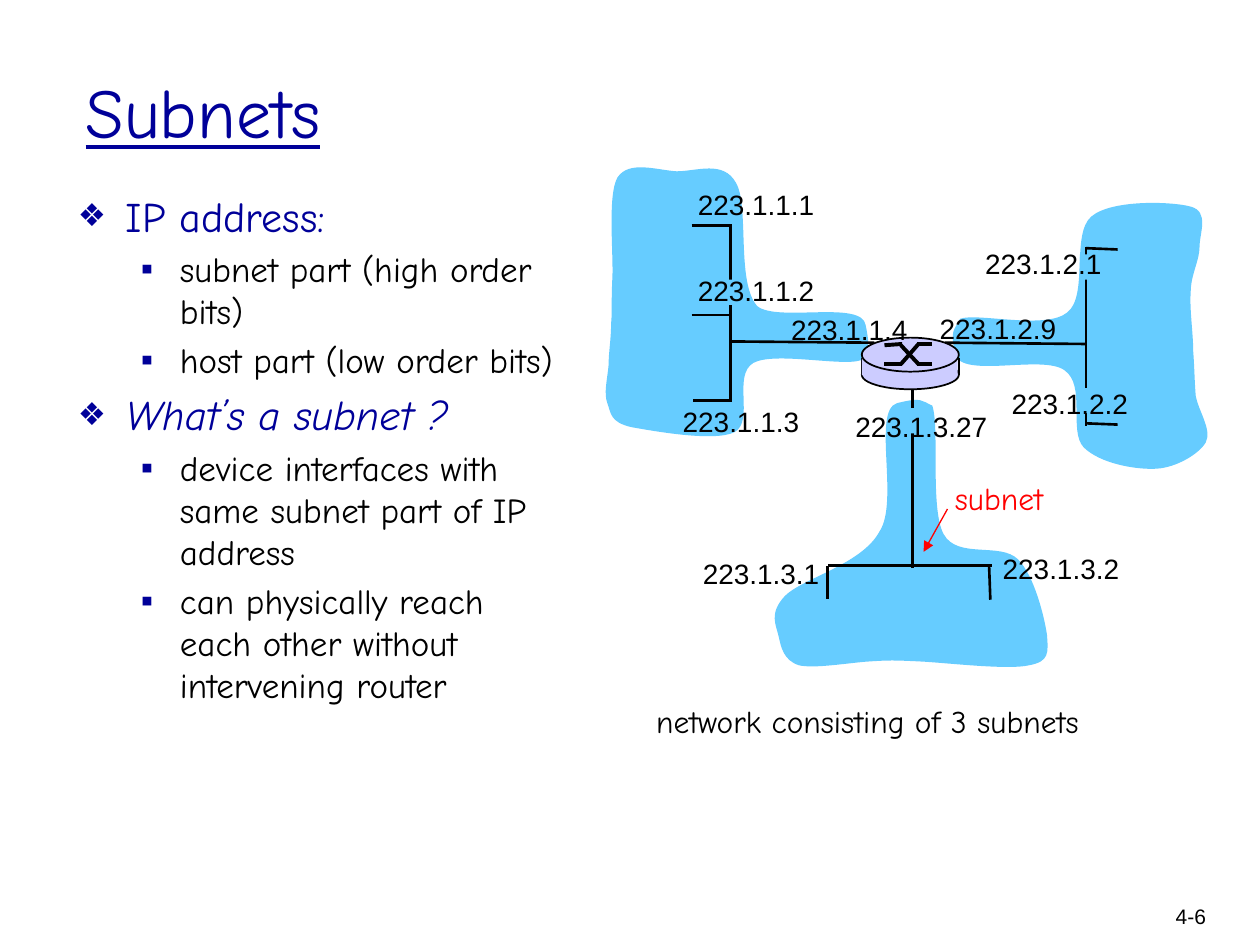
from lxml import etree
from pptx import Presentation
from pptx.dml.color import RGBColor
from pptx.enum.shapes import MSO_CONNECTOR, MSO_SHAPE
from pptx.enum.text import MSO_ANCHOR as ANCHOR, PP_ALIGN as ALIGN
from pptx.oxml.ns import qn
from pptx.util import Inches, Pt

COLORS = {"cloud": "66CCFF", "router": "CCCCFF", "navy": "000099",
          "black": "000000", "red": "FF0000", "white": "FFFFFF"}
HAND, SANS = "Comic Neue", "Arial"

# Each cloud: a start point, then Bezier segments (two controls and an end)
CLOUDS = [
    [(6.87, 2.58),
     (6.84, 2.38, 6.17, 2.56, 6.01, 2.43), (5.84, 2.24, 5.95, 1.63, 5.84, 1.45),
     (5.74, 1.27, 5.53, 1.36, 5.37, 1.36), (5.21, 1.35, 4.99, 1.27, 4.9, 1.41),
     (4.82, 1.55, 4.87, 2.02, 4.86, 2.21), (4.85, 2.41, 4.86, 2.46, 4.85, 2.57),
     (4.85, 2.69, 4.83, 2.8, 4.83, 2.9), (4.82, 3.01, 4.79, 3.12, 4.82, 3.2),
     (4.85, 3.28, 4.84, 3.35, 5.01, 3.39), (5.18, 3.42, 5.67, 3.51, 5.83, 3.43),
     (5.99, 3.34, 5.81, 2.98, 5.98, 2.88), (6.15, 2.79, 6.68, 2.91, 6.83, 2.86),
     (6.89, 2.77, 6.91, 2.78, 6.87, 2.58)],
    [(7.58, 2.81),
     (7.63, 3.01, 8.28, 2.81, 8.45, 2.94), (8.62, 3.06, 8.48, 3.42, 8.6, 3.55),
     (8.73, 3.68, 9.02, 3.73, 9.18, 3.72), (9.34, 3.71, 9.52, 3.6, 9.57, 3.51),
     (9.62, 3.41, 9.51, 3.26, 9.49, 3.14), (9.48, 3.02, 9.48, 2.92, 9.47, 2.79),
     (9.47, 2.65, 9.44, 2.45, 9.45, 2.32), (9.45, 2.18, 9.52, 2.07, 9.52, 1.96),
     (9.52, 1.85, 9.6, 1.68, 9.45, 1.64), (9.31, 1.6, 8.82, 1.58, 8.66, 1.72),
     (8.5, 1.86, 8.64, 2.35, 8.47, 2.48), (8.3, 2.62, 7.76, 2.48, 7.62, 2.53),
     (7.57, 2.63, 7.54, 2.61, 7.58, 2.81)],
    [(7.12, 3.2),
     (6.92, 3.26, 7.14, 3.98, 6.98, 4.22), (6.84, 4.48, 6.37, 4.59, 6.23, 4.73),
     (6.1, 4.87, 6.16, 4.96, 6.18, 5.05), (6.2, 5.14, 6.22, 5.24, 6.34, 5.28),
     (6.46, 5.31, 6.74, 5.26, 6.9, 5.25), (7.06, 5.24, 7.09, 5.24, 7.3, 5.25),
     (7.51, 5.26, 8, 5.32, 8.17, 5.28), (8.33, 5.25, 8.32, 5.18, 8.31, 5.04),
     (8.29, 4.9, 8.21, 4.57, 8.08, 4.44), (7.94, 4.3, 7.6, 4.44, 7.49, 4.24),
     (7.38, 4.04, 7.46, 3.4, 7.4, 3.22), (7.31, 3.18, 7.32, 3.15, 7.12, 3.2)],
]
LINKS = [
    (5.49, 1.79, 5.79, 1.79), (5.8, 1.78, 5.8, 3.19), (5.49, 2.5, 5.79, 2.5),
    (5.5, 3.18, 5.8, 3.18), (5.8, 2.71, 6.94, 2.72),
    (7.5, 2.72, 8.61, 2.73), (8.62, 1.96, 8.62, 3.38),
    (8.62, 1.97, 8.87, 1.98), (8.62, 3.36, 8.87, 3.37),
    (7.24, 3.09, 7.24, 4.51), (7.87, 4.49, 6.57, 4.49),
    (6.57, 4.75, 6.57, 4.49), (7.86, 4.76, 7.85, 4.49),
]
# Patches in the colour behind them, which clear room for an address
PATCHES = [
    ("cloud", 5.54, 2.22, 0.34, 0.2), ("cloud", 8.56, 3.08, 0.19, 0.2),
    ("cloud", 8.57, 2.02, 0.27, 0.2), ("cloud", 7.17, 3.24, 0.14, 0.2),
    ("white", 5.3, 4.19, 0.93, 0.2),
]
ADDRESSES = [
    ("223.1.1.1", 5.44, 1.44), ("223.1.1.2", 5.44, 2.12),
    ("223.1.1.3", 5.32, 3.16), ("223.1.1.4", 6.18, 2.43),
    ("223.1.2.9", 7.36, 2.42), ("223.1.2.2", 7.93, 3.02),
    ("223.1.2.1", 7.72, 1.91), ("223.1.3.2", 7.86, 4.33),
    ("223.1.3.1", 5.48, 4.37), ("223.1.3.27", 6.69, 3.2),
]
ROUTER_CROSS = [
    (7.02, 2.74, 7.16, 2.73), (7.28, 2.89, 7.4, 2.89), (7.15, 2.74, 7.29, 2.89),
    (7.02, 2.89, 7.16, 2.89), (7.28, 2.73, 7.4, 2.73), (7.15, 2.89, 7.29, 2.73),
]
OUTLINE = [
    (0, "IP address:"),
    (1, "subnet part (high order bits)"),
    (1, "host part (low order bits)"),
    (0, "What’s a subnet ?"),
    (1, "device interfaces with same subnet part of IP address"),
    (1, "can physically reach each other without intervening router"),
]


def rgb(name):
    return RGBColor.from_string(COLORS[name])


def set_font(paragraph, size, name, color):
    font = paragraph.font
    font.size, font.name = Pt(size), name
    font.color.rgb = rgb(color)
    return font


def paint(shape, fill, outlined=False):
    shape.shadow.inherit = False
    shape.fill.solid()
    shape.fill.fore_color.rgb = rgb(fill)
    if outlined:
        shape.line.color.rgb = rgb("black")
        shape.line.width = Pt(1)
    else:
        shape.line.fill.background()


def add_shape(shapes, kind, box, fill, outlined=False):
    paint(shapes.add_shape(kind, *map(Inches, box)), fill, outlined)


def add_line(shapes, ends, width=1.5, color="black"):
    line = shapes.add_connector(MSO_CONNECTOR.STRAIGHT, *map(Inches, ends))
    line.line.color.rgb = rgb(color)
    line.line.width = Pt(width)
    etree.SubElement(line._element.spPr, qn("a:effectLst"))
    return line


def add_arrow(shapes, ends, width, color):
    arrow = add_line(shapes, ends, width, color)
    etree.SubElement(arrow.line._get_or_add_ln(), qn("a:tailEnd"), type="triangle")


def add_cloud(shapes, start, *curves):
    """Build a polygon of all points, then join each three into a Bezier curve."""
    points = [(Inches(curve[i]), Inches(curve[i + 1])) for curve in curves for i in (0, 2, 4)]
    builder = shapes.build_freeform(*map(Inches, start))
    builder.add_line_segments(points, close=True)
    cloud = builder.convert_to_shape()
    segments = list(cloud._element.iter(qn("a:lnTo")))
    for first in range(0, len(segments), 3):
        curve = etree.Element(qn("a:cubicBezTo"))
        segments[first].addprevious(curve)
        for segment in segments[first:first + 3]:
            curve.append(segment[0])
            segment.getparent().remove(segment)
    paint(cloud, "cloud")


def add_label(shapes, text, box, size=16, font=SANS, color="black", align=ALIGN.LEFT):
    frame = shapes.add_textbox(*map(Inches, box)).text_frame
    paragraph = frame.paragraphs[0]
    paragraph.text = text
    paragraph.alignment = align
    set_font(paragraph, size, font, color)


def add_bullet(paragraph, level):
    margin, indent, mark = [(0.38, -0.38, "❖"), (0.81, -0.31, "▪")][level]
    properties = paragraph._p.get_or_add_pPr()
    properties.set("marL", str(Inches(margin)))
    properties.set("indent", str(Inches(indent)))
    color = etree.SubElement(properties, qn("a:buClr"))
    etree.SubElement(color, qn("a:srgbClr"), val=COLORS["navy"])
    if level == 0:
        etree.SubElement(properties, qn("a:buSzPct"), val="75000")
    etree.SubElement(properties, qn("a:buFont"), typeface=SANS)
    etree.SubElement(properties, qn("a:buChar"), char=mark)


def add_title(slide, text):
    title = slide.shapes.title
    title.left, title.top, title.width, title.height = map(Inches, (0.58, 0.25, 8.5, 1.25))
    title.text_frame.vertical_anchor = ANCHOR.MIDDLE
    paragraph = title.text_frame.paragraphs[0]
    paragraph.text = text
    paragraph.alignment = ALIGN.LEFT
    set_font(paragraph, 40, HAND, "navy").underline = True


def add_outline(shapes):
    frame = shapes.add_textbox(*map(Inches, (0.52, 1.46, 4.04, 5.08))).text_frame
    frame.word_wrap = True
    for index, (level, text) in enumerate(OUTLINE):
        paragraph = frame.add_paragraph() if index else frame.paragraphs[0]
        paragraph.text = text
        paragraph.level = level
        size, color = [(24, "navy"), (20, "black")][level]
        if index:
            paragraph.space_before = Pt(size * 0.2)
        add_bullet(paragraph, level)
        font = set_font(paragraph, size, HAND, color)
        font.italic = text.startswith("What")


def add_router(shapes):
    parts = shapes.add_group_shape().shapes
    add_shape(parts, MSO_SHAPE.OVAL, (6.84, 2.86, 0.77, 0.23), "router", True)
    for x in (6.84, 7.61):
        add_line(parts, (x, 2.84, x, 2.98), 1)
    add_shape(parts, MSO_SHAPE.RECTANGLE, (6.84, 2.84, 0.76, 0.14), "router")
    add_shape(parts, MSO_SHAPE.OVAL, (6.84, 2.68, 0.77, 0.27), "router", True)
    for ends in ROUTER_CROSS:
        add_line(parts, ends, 2.25)


def main():
    presentation = Presentation()
    presentation.slide_width, presentation.slide_height = Inches(10), Inches(7.5)
    slide = presentation.slides.add_slide(presentation.slide_layouts[5])
    shapes = slide.shapes
    add_title(slide, "Subnets")
    for cloud in CLOUDS:
        add_cloud(shapes, *cloud)
    add_outline(shapes)
    for ends in LINKS:
        add_line(shapes, ends)
    add_router(shapes)
    for color, *box in PATCHES:
        add_shape(shapes, MSO_SHAPE.RECTANGLE, box, color)
    for text, left, top in ADDRESSES:
        add_label(shapes, text, (left, top, 0.125 * len(text), 0.37))
    add_label(shapes, "network consisting of 3 subnets", (5.11, 5.52, 3.91, 0.4), 18, HAND)
    add_label(shapes, "subnet", (7.48, 3.75, 0.99, 0.4), 18, HAND, "red")
    add_arrow(shapes, (7.52, 4.04, 7.33, 4.38), 0.75, "red")
    add_label(shapes, "4-6", (8.93, 7.12, 0.74, 0.38), 12, align=ALIGN.RIGHT)
    presentation.save("out.pptx")


if __name__ == "__main__":
    main()
